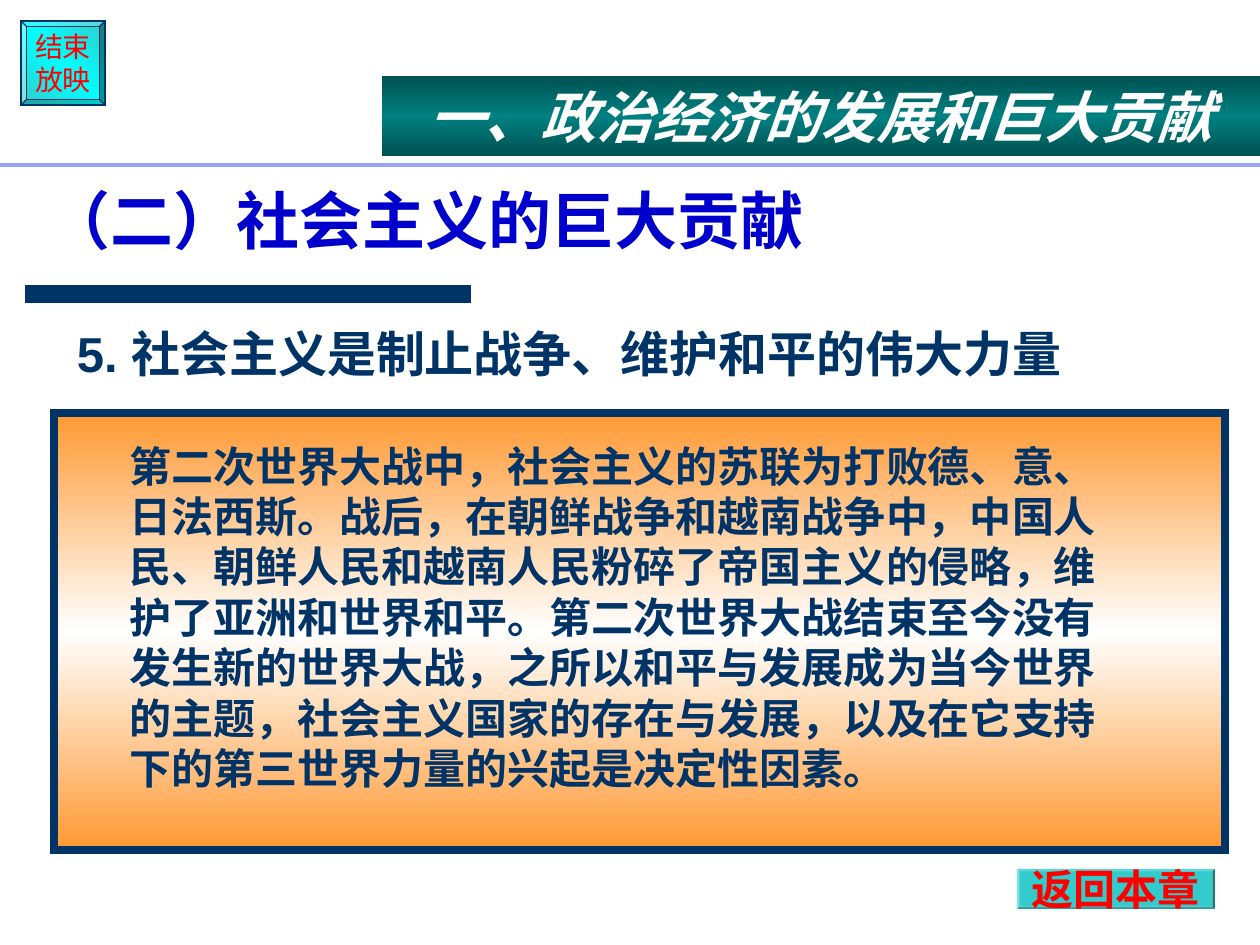
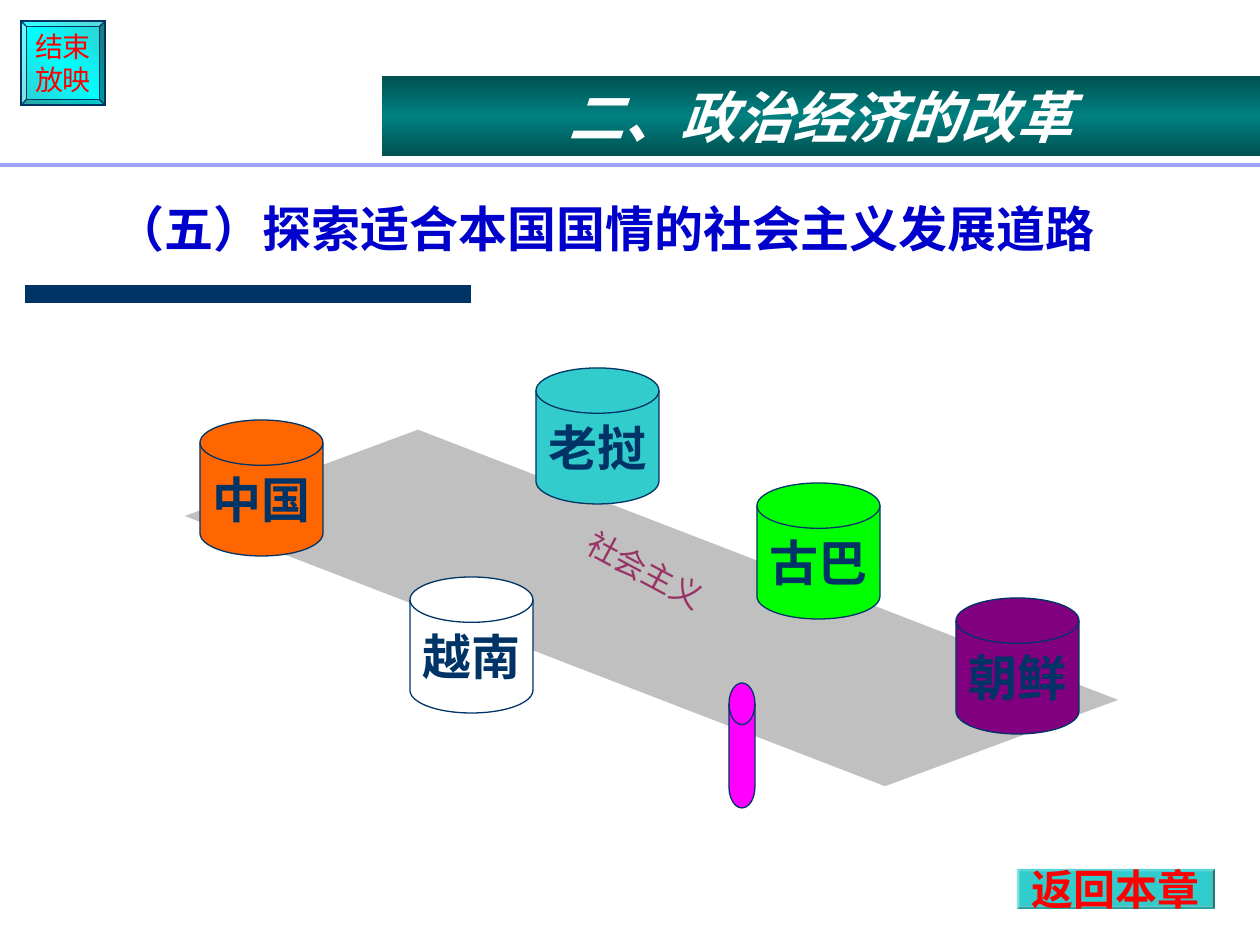
from copy import deepcopy

from lxml import etree
from pptx import Presentation
from pptx.dml.color import RGBColor
from pptx.enum.shapes import MSO_CONNECTOR, MSO_SHAPE
from pptx.enum.text import MSO_ANCHOR, PP_ALIGN
from pptx.oxml.ns import qn
from pptx.util import Emu, Pt

PX = 914400 / 126
RECT = MSO_SHAPE.RECTANGLE
BEVEL = MSO_SHAPE.BEVEL
DISK = MSO_SHAPE.FLOWCHART_MAGNETIC_DISK
SLAB = MSO_SHAPE.FLOWCHART_DATA
STRAIGHT = MSO_CONNECTOR.STRAIGHT
LEFT, CENTER = PP_ALIGN.LEFT, PP_ALIGN.CENTER
TOP, MIDDLE, BOTTOM = MSO_ANCHOR.TOP, MSO_ANCHOR.MIDDLE, MSO_ANCHOR.BOTTOM

SANS, CJK = "Arial", "Noto Sans CJK SC"
INSETS = (13, 6, 13, 6)
COLORS = {
    "navy": "003366", "blue": "0000CC", "red": "FF0000", "white": "FFFFFF",
    "teal": "33CCCC", "cyan": "00FFFF", "band edge": "005151",
    "band middle": "008080", "rule": "9BA4FD", "orange": "FF9933",
    "silver": "C0C0C0", "plum": "993366", "china": "FF6600",
    "korea": "800080", "cuba": "00FF00", "pillar": "FF00FF",
}


def px(*lengths):
    return [Emu(round(length * PX)) for length in lengths]


def rgb(color):
    return RGBColor.from_string(COLORS[color])


def write(shape, lines, size, color, font=SANS, bold=False, italic=False,
          align=CENTER, anchor=MIDDLE, wrap=False, leading=1.2, insets=INSETS):
    frame = shape.text_frame
    frame.word_wrap = wrap
    frame.vertical_anchor = anchor
    (frame.margin_left, frame.margin_top,
     frame.margin_right, frame.margin_bottom) = px(*insets)
    frame.text = "\n".join(lines)
    for paragraph in frame.paragraphs:
        paragraph.alignment = align
        paragraph.line_spacing = Pt(round(size * leading, 1))
        style = paragraph.font
        style.name, style.size = font, Pt(size)
        style.bold, style.italic = bold, italic
        style.color.rgb = rgb(color)
        latin = paragraph._p.find(".//" + qn("a:latin"))
        east_asian = etree.Element(qn("a:ea"), typeface=CJK)
        latin.addnext(east_asian)


def paint(shape, fill, outline=None, weight=0.75):
    shape.shadow.inherit = False
    shape.fill.solid()
    shape.fill.fore_color.rgb = rgb(fill)
    if outline:
        shape.line.color.rgb = rgb(outline)
        shape.line.width = Pt(weight)
        # Square corners
        border = shape._element.spPr.find(qn("a:ln"))
        etree.SubElement(border, qn("a:miter"), lim="800000")
    else:
        shape.line.fill.background()


def blend(shape, edge, middle, clockwise):
    """Gradient running from edge to middle and back to edge."""
    shape.fill.gradient()
    shape.fill.gradient_angle = 360 - clockwise
    start, center = shape.fill.gradient_stops
    start.color.rgb, center.color.rgb = rgb(edge), rgb(middle)
    center.position = 0.5
    stops = shape._element.spPr.find(".//" + qn("a:gsLst"))
    end = deepcopy(stops[0])
    end.set("pos", "100000")
    stops.append(end)


def add_figure(slide, kind, box, fill, outline=None, weight=0.75):
    shape = slide.shapes.add_shape(kind, *px(*box))
    paint(shape, fill, outline, weight)
    return shape


def add_rule(slide, left, right, y, color, weight):
    rule = slide.shapes.add_connector(STRAIGHT, *px(left, y, right, y))
    rule.line.color.rgb = rgb(color)
    rule.line.width = Pt(weight)
    etree.SubElement(rule._element.spPr, qn("a:effectLst"))


def add_text(slide, box, line, size, color, **style):
    text = slide.shapes.add_textbox(*px(*box))
    write(text, [line], size, color, **style)
    return text


def add_button(slide, box, lines, size, outline=None, bold=False):
    button = add_figure(slide, BEVEL, box, "teal", outline)
    button.adjustments[0] = 0.0625
    write(button, lines, size, "red", bold=bold)
    return button


def add_backdrop(deck, heading, heading_box, heading_size):
    """New slide with the parts that lie behind its content."""
    slide = deck.slides.add_slide(deck.slide_layouts[6])
    add_rule(slide, 25, 471, 294, "navy", 10)
    end_show = add_button(slide, (21, 21, 84, 84), ["结束", "放映"], 16, "navy")
    blend(end_show, "teal", "cyan", 135)
    add_text(slide, heading_box, heading, heading_size, "blue", font=CJK,
             bold=True, align=LEFT, anchor=BOTTOM, wrap=True, leading=1.08)
    return slide


def add_frame(slide, chapter):
    """Return button, chapter band and rule."""
    add_button(slide, (1017, 869, 198, 40), ["返回本章"], 24, bold=True)
    band = add_figure(slide, RECT, (382, 76, 878, 80), "band edge")
    blend(band, "band edge", "band middle", 90)
    write(band, [chapter], 32, "white", font=CJK, bold=True, italic=True,
          anchor=TOP, wrap=True)
    add_rule(slide, 0, 1260, 165, "rule", 1.75)


def add_country(slide, left, top, name, fill):
    disk = add_figure(slide, DISK, (left, top, 123, 136), fill, "navy")
    write(disk, [name], 28, "navy", bold=True)


def build_peace_slide(deck):
    slide = add_backdrop(deck, "（二）社会主义的巨大贡献",
                         (35, 126, 1072, 137), 36)
    add_text(slide, (64, 324, 1042, 66),
             "5. 社会主义是制止战争、维护和平的伟大力量", 28, "navy",
             bold=True, align=LEFT, anchor=TOP, wrap=True, leading=1.08)
    panel = add_figure(slide, RECT, (54, 413, 1171, 437), "orange", "navy", 4.5)
    blend(panel, "orange", "white", 90)
    write(panel, [
        "第二次世界大战中，社会主义的苏联为打败德、意、日法西斯。"
        "战后，在朝鲜战争和越南战争中，中国人民、朝鲜人民和越南人民"
        "粉碎了帝国主义的侵略，维护了亚洲和世界和平。"
        "第二次世界大战结束至今没有发生新的世界大战，"
        "之所以和平与发展成为当今世界的主题，社会主义国家的存在与发展，"
        "以及在它支持下的第三世界力量的兴起是决定性因素。"
    ], 24, "navy", bold=True, align=LEFT, anchor=TOP, wrap=True,
        insets=(76, 27, 100, 6))
    add_frame(slide, "一、政治经济的发展和巨大贡献")


def build_roads_slide(deck):
    slide = add_backdrop(deck, "（五）探索适合本国国情的社会主义发展道路",
                         (103, 126, 1113, 137), 28)
    # Road with the countries standing on it
    road = add_figure(slide, SLAB, (181, 525, 941, 166), "silver", "white")
    road.rotation = 21.1
    for country in [(200, 420, "中国", "china"), (956, 598, "朝鲜", "korea"),
                    (757, 483, "古巴", "cuba"), (536, 368, "老挝", "teal"),
                    (410, 577, "越南", "white")]:
        add_country(slide, *country)
    road_name = add_text(slide, (378, 541, 504, 116), "社会主义", 18, "plum",
                         font=CJK, anchor=TOP, wrap=True)
    road_name.rotation = 28.1
    add_figure(slide, DISK, (729, 683, 26, 125), "pillar", "navy")
    add_frame(slide, "二、政治经济的改革")


def main():
    deck = Presentation()
    deck.slide_width, deck.slide_height = px(1260, 945)
    build_peace_slide(deck)
    build_roads_slide(deck)
    deck.save("out.pptx")


if __name__ == "__main__":
    main()
